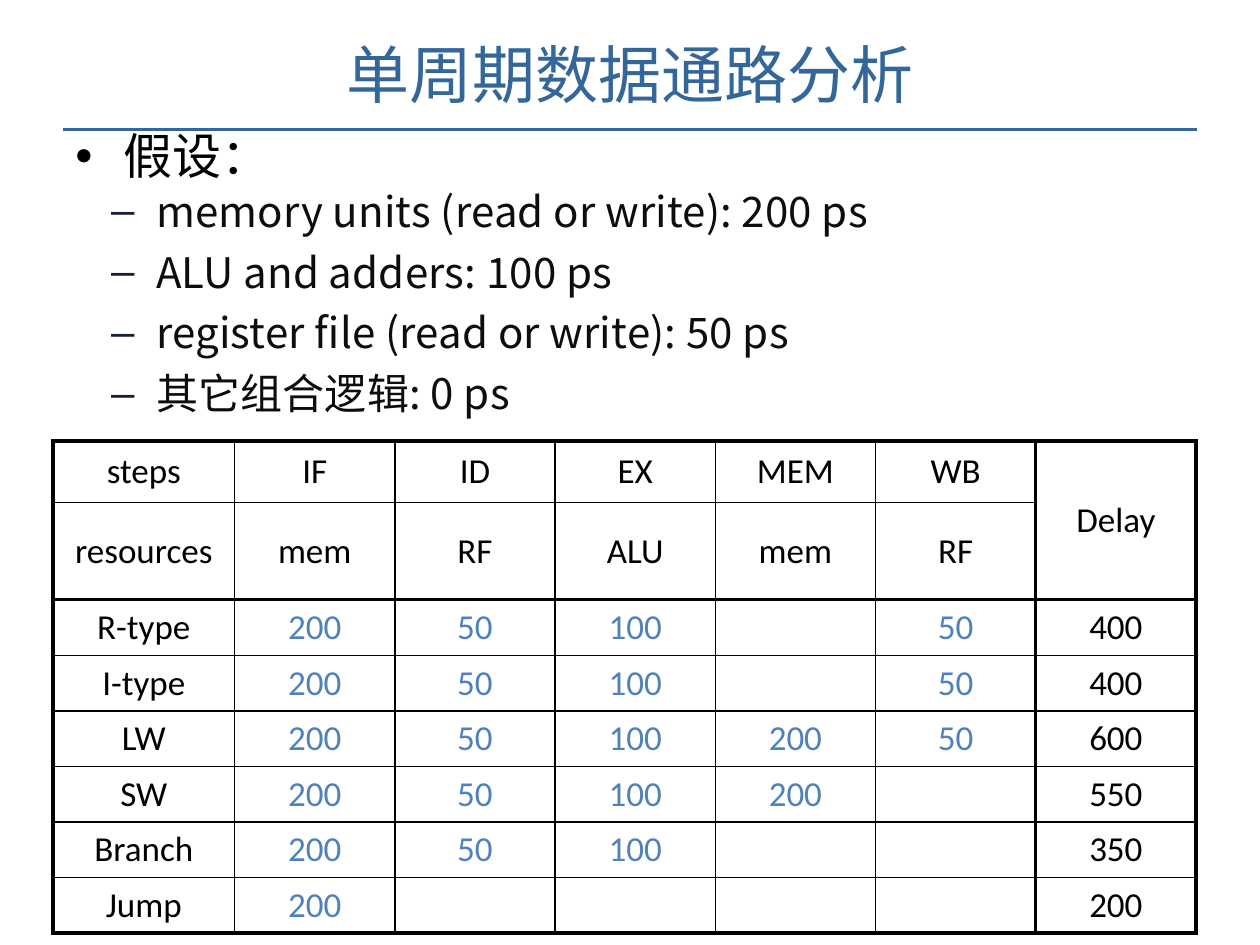
from lxml.etree import SubElement
from pptx import Presentation
from pptx.dml.color import RGBColor
from pptx.enum.shapes import MSO_CONNECTOR
from pptx.enum.text import MSO_ANCHOR, PP_ALIGN
from pptx.oxml.ns import qn
from pptx.oxml.xmlchemy import OxmlElement
from pptx.util import Cm, Pt

COLORS = {
    "title": "336699",
    "black": "000000",
    "bullet": "151F36",
    "body": "0D0D0D",
    "stage": "4F81BD",
}
CJK = "Noto Sans CJK SC"
LATIN = "Calibri"

ASSUMPTIONS = [
    "memory units (read or write): 200 ps",
    "ALU and adders: 100 ps",
    "register file (read or write): 50 ps",
    "其它组合逻辑: 0 ps",
]
BULLETS = [
    dict(char="•", color="black", margin=0.97, hang=0.97),
    dict(char="–", color="bullet", margin=1.63, hang=0.91),
]

DELAYS = [
    ["steps", "IF", "ID", "EX", "MEM", "WB", "Delay"],
    ["resources", "mem", "RF", "ALU", "mem", "RF", ""],
    ["R-type", "200", "50", "100", "", "50", "400"],
    ["I-type", "200", "50", "100", "", "50", "400"],
    ["LW", "200", "50", "100", "200", "50", "600"],
    ["SW", "200", "50", "100", "200", "", "550"],
    ["Branch", "200", "50", "100", "", "", "350"],
    ["Jump", "200", "", "", "", "", "200"],
]
HEADER_ROWS = 2
COLUMN_WIDTHS = [3.66] + [3.23] * 6
ROW_HEIGHTS = [1.24, 1.96] + [1.12] * 6
HEAVY_ROW_EDGES = {0, HEADER_ROWS, len(ROW_HEIGHTS)}
HEAVY_COLUMN_EDGES = {0, len(COLUMN_WIDTHS) - 1, len(COLUMN_WIDTHS)}


def apply_format(target, values):
    for name, value in values.items():
        setattr(target, name, value)


def write_text(paragraph, text, size, color, font=CJK, **layout):
    apply_format(paragraph, layout)
    run = paragraph.add_run()
    run.text = text
    apply_format(run.font, dict(size=Pt(size), name=font))
    run.font.color.rgb = RGBColor.from_string(COLORS[color])
    properties = run.font._element
    SubElement(properties, qn("a:ea")).set("typeface", font)
    return run


def add_bullet(paragraph, char, color, margin, hang):
    properties = paragraph._p.get_or_add_pPr()
    properties.set("marL", str(Cm(margin)))
    properties.set("indent", str(-Cm(hang)))
    bullet_color = SubElement(properties, qn("a:buClr"))
    SubElement(bullet_color, qn("a:srgbClr")).set("val", COLORS[color])
    SubElement(properties, qn("a:buFont")).set("typeface", "Arial")
    SubElement(properties, qn("a:buChar")).set("char", char)


def add_text_frame(slide, box, anchor):
    frame = slide.shapes.add_textbox(*map(Cm, box)).text_frame
    apply_format(frame, dict(word_wrap=True, vertical_anchor=anchor))
    return frame


def add_title(slide, box):
    """Place the heading in the box and the rule just under it."""
    left, top, width, height = box
    rule_top = top + height - 0.13
    rule = slide.shapes.add_connector(
        MSO_CONNECTOR.STRAIGHT, Cm(left), Cm(rule_top), Cm(left + width), Cm(rule_top)
    )
    rule.line.width = Pt(2)
    rule.line.color.rgb = RGBColor.from_string(COLORS["title"])
    SubElement(rule._element.spPr, qn("a:effectLst"))
    frame = add_text_frame(slide, box, MSO_ANCHOR.MIDDLE)
    write_text(frame.paragraphs[0], "单周期数据通路分析", 36, "title", alignment=PP_ALIGN.CENTER)


def add_assumptions(slide, box):
    frame = add_text_frame(slide, box, MSO_ANCHOR.TOP)
    heading = frame.paragraphs[0]
    add_bullet(heading, **BULLETS[0])
    write_text(heading, "假设：", 28, "black", line_spacing=0.9)
    for text in ASSUMPTIONS:
        paragraph = frame.add_paragraph()
        add_bullet(paragraph, **BULLETS[1])
        run = write_text(paragraph, text, 24, "body", level=1,
                         line_spacing=Pt(28.8), space_after=Pt(6))
        run.font._element.set("spc", "10")


def set_borders(cell, row, column):
    """Draw heavy lines on the frame, under the header and before the last column."""
    edges = {
        "L": column in HEAVY_COLUMN_EDGES,
        "R": column + 1 in HEAVY_COLUMN_EDGES,
        "T": row in HEAVY_ROW_EDGES,
        "B": row + cell.span_height in HEAVY_ROW_EDGES,
    }
    properties = cell._tc.get_or_add_tcPr()
    for index, (side, heavy) in enumerate(edges.items()):
        line = OxmlElement(f"a:ln{side}")
        line.set("w", str(Pt(2.25 if heavy else 1)))
        fill = SubElement(line, qn("a:solidFill"))
        SubElement(fill, qn("a:srgbClr")).set("val", COLORS["black"])
        properties.insert(index, line)


def add_delay_table(slide, box):
    table = slide.shapes.add_table(
        len(ROW_HEIGHTS), len(COLUMN_WIDTHS), *map(Cm, box)
    ).table
    apply_format(table, dict(first_row=False, horz_banding=False))
    for column, width in zip(table.columns, COLUMN_WIDTHS):
        column.width = Cm(width)
    for row, height in zip(table.rows, ROW_HEIGHTS):
        row.height = Cm(height)
    last = len(COLUMN_WIDTHS) - 1
    table.cell(0, last).merge(table.cell(HEADER_ROWS - 1, last))

    cell_format = dict(vertical_anchor=MSO_ANCHOR.MIDDLE, margin_left=0, margin_right=0,
                       margin_top=Cm(0.13), margin_bottom=Cm(0.13))
    for row, texts in enumerate(DELAYS):
        for column, text in enumerate(texts):
            cell = table.cell(row, column)
            cell.fill.background()
            if cell.is_spanned:
                continue
            apply_format(cell, cell_format)
            set_borders(cell, row, column)
            if text:
                is_stage = row >= HEADER_ROWS and 0 < column < last
                write_text(cell.text_frame.paragraphs[0], text, 20,
                           "stage" if is_stage else "black", LATIN,
                           alignment=PP_ALIGN.CENTER)


def main():
    presentation = Presentation()
    apply_format(presentation, dict(slide_width=Cm(25.4), slide_height=Cm(19.05)))
    slide = presentation.slides.add_slide(presentation.slide_layouts[6])
    add_title(slide, (1.27, 0.2, 22.86, 2.54))
    add_assumptions(slide, (1.27, 2.54, 22.86, 6.35))
    add_delay_table(slide, (1.07, 8.89, sum(COLUMN_WIDTHS), sum(ROW_HEIGHTS)))
    presentation.save("out.pptx")


if __name__ == "__main__":
    main()
